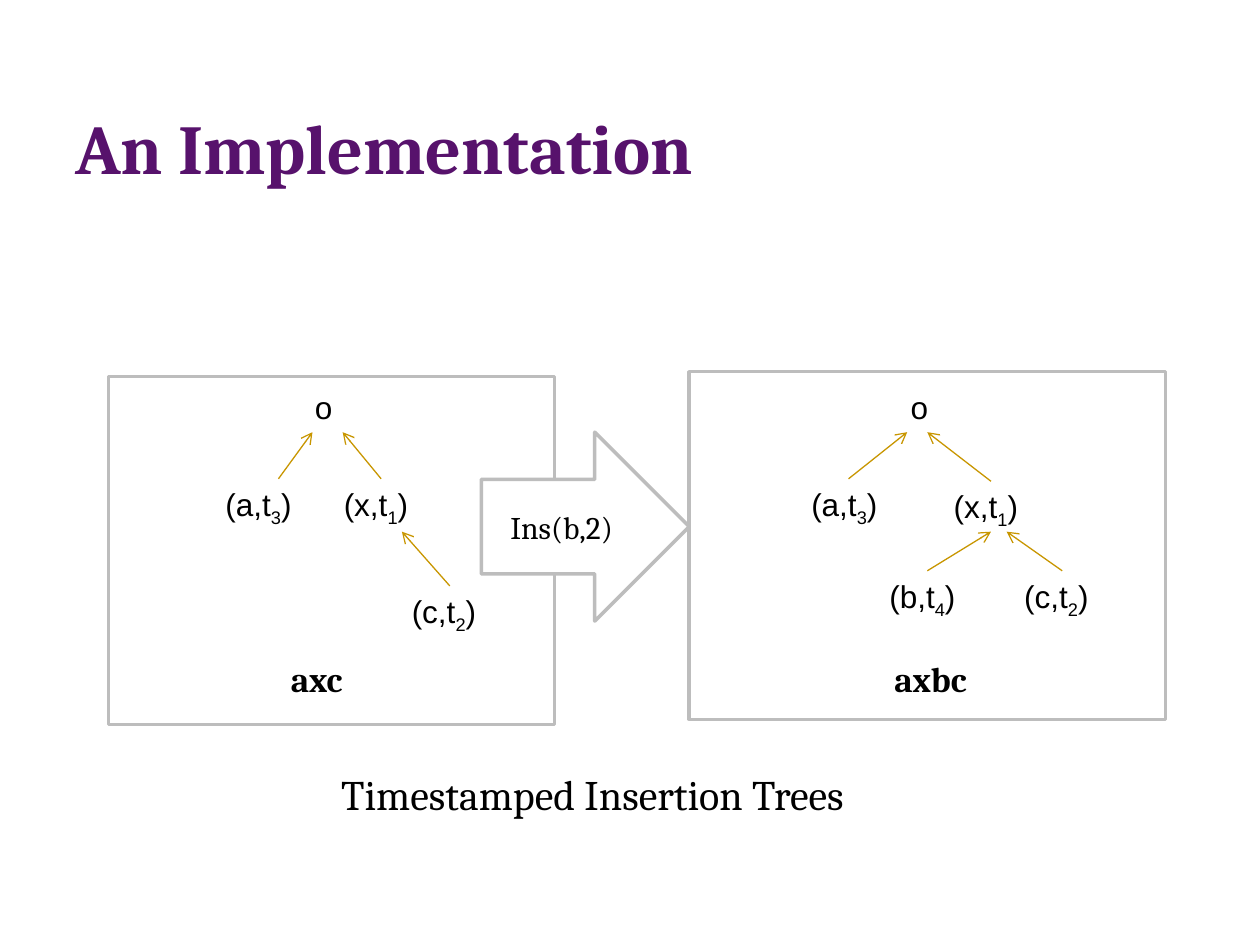
from dataclasses import dataclass

from lxml import etree
from pptx import Presentation
from pptx.dml.color import RGBColor
from pptx.enum.shapes import MSO_CONNECTOR, MSO_SHAPE
from pptx.enum.text import MSO_ANCHOR, MSO_AUTO_SIZE, PP_ALIGN
from pptx.oxml.ns import qn
from pptx.util import Inches, Pt

STRAIGHT = MSO_CONNECTOR.STRAIGHT
RECTANGLE, RIGHT_ARROW = MSO_SHAPE.RECTANGLE, MSO_SHAPE.RIGHT_ARROW
BOTTOM, MIDDLE, TOP = MSO_ANCHOR.BOTTOM, MSO_ANCHOR.MIDDLE, MSO_ANCHOR.TOP
LEFT, CENTER = PP_ALIGN.LEFT, PP_ALIGN.CENTER
GROW, FIXED = MSO_AUTO_SIZE.SHAPE_TO_FIT_TEXT, MSO_AUTO_SIZE.NONE

COLUMNS, ROWS, CELL = 100, 75, Inches(0.1)
SERIF, SANS = "Cambria", "Arial"
BLACK, WHITE, PURPLE, GRAY, GOLD = "000000", "FFFFFF", "57126C", "BDBDBD", "C89600"
TOP_SITE, BOTTOM_SITE = 0, 2
ROOT_ROW, EDGE_TIP_ROW, WORD_ROW = 30.3, 34.3, 51.7


@dataclass(frozen=True)
class Area:
    """Left, top, width and height in grid cells."""
    column: float
    row: float
    columns: float
    rows: float = 4

    def lengths(self) -> list[int]:
        return [cells(n) for n in (self.column, self.row, self.columns, self.rows)]


@dataclass(frozen=True)
class Node:
    letter: str
    stamp: str
    area: Area
    tip: tuple[float, float] | None = None    # None: bottom middle of the parent
    parent: str = ""
    start: tuple[float, float] | None = None  # None: top middle of the node


@dataclass(frozen=True)
class Tree:
    frame: Area
    root: Area
    nodes: tuple[Node, ...]
    word: str
    word_area: Area


TREES = (
    Tree(
        Area(8.6, 29.9, 35.4, 27.6), Area(24, ROOT_ROW, 4.6),
        (
            Node("a", "3", Area(16.9, 38, 7.9), (24.8, EDGE_TIP_ROW), start=(22.1, 38)),
            Node("x", "1", Area(26.3, 38, 7.9), (27.2, EDGE_TIP_ROW)),
            Node("c", "2", Area(31.7, 46.5, 8), (31.9, 42.2)),
        ),
        "axc", Area(22.1, WORD_ROW, 10, 4.4),
    ),
    Tree(
        Area(54.7, 29.5, 37.8, 27.6), Area(71.3, ROOT_ROW, 4.6),
        (
            Node("a", "3", Area(63.4, 38, 7.9), (72, EDGE_TIP_ROW)),
            Node("x", "1", Area(74.7, 38.2, 7.9), (73.6, EDGE_TIP_ROW)),
            Node("b", "4", Area(69.6, 45.3, 8), parent="x"),
            Node("c", "2", Area(80.3, 45.3, 8), (79.9, 42.2)),
        ),
        "axbc", Area(70, WORD_ROW, 10, 4.4),
    ),
)


def cells(count: float) -> int:
    return round(count * CELL)


def color(value: str) -> RGBColor:
    return RGBColor.from_string(value)


def add_span(para, text: str, size: float, face: str, ink: str = BLACK,
             bold: bool = False, baseline: int = 0) -> None:
    span = para.add_run()
    span.text = text
    font = span.font
    font.size, font.name, font.bold = Pt(size), face, bold
    font.color.rgb = color(ink)
    if baseline:
        span._r.get_or_add_rPr().set("baseline", str(baseline * 1000))


def add_label(slide, area: Area, text: str, size: float, face: str,
              bold: bool = False, stamp: str = ""):
    """Add a text box; a stamp makes it read (letter,t with a subscript)."""
    box = slide.shapes.add_textbox(*area.lengths())
    frame = box.text_frame
    frame.word_wrap, frame.auto_size, frame.vertical_anchor = True, GROW, TOP
    para = frame.paragraphs[0]
    if stamp:
        add_span(para, f"({text},t", size, face)
        add_span(para, stamp, size, face, baseline=-25)
        add_span(para, ")", size, face)
    else:
        add_span(para, text, size, face, bold=bold)
    return box


def add_outlined(slide, preset, area: Area):
    shape = slide.shapes.add_shape(preset, *area.lengths())
    shape.shadow.inherit = False
    shape.fill.solid()
    shape.fill.fore_color.rgb = color(WHITE)
    shape.line.color.rgb = color(GRAY)
    shape.line.width = Pt(2)
    return shape


def add_edge(slide, node: Node, boxes: dict) -> None:
    """Draw the arrow from a node to its parent."""
    start = node.start or (node.area.column, node.area.row)
    tip = node.tip or start
    edge = slide.shapes.add_connector(STRAIGHT, *map(cells, (*start, *tip)))
    if not node.start:
        edge.begin_connect(boxes[node.letter], TOP_SITE)
    if not node.tip:
        edge.end_connect(boxes[node.parent], BOTTOM_SITE)
    edge.line.color.rgb = color(GOLD)
    edge.line.width = Pt(0.75)
    etree.SubElement(edge.line._get_or_add_ln(), qn("a:tailEnd"), type="arrow")
    etree.SubElement(edge._element.spPr, qn("a:effectLst"))


def add_tree(slide, tree: Tree) -> None:
    add_outlined(slide, RECTANGLE, tree.frame)
    add_label(slide, tree.root, "o", 18, SANS)
    boxes = {node.letter: add_label(slide, node.area, node.letter, 18, SANS, stamp=node.stamp)
             for node in tree.nodes}
    for node in tree.nodes:
        add_edge(slide, node, boxes)
    add_label(slide, tree.word_area, tree.word, 20, SERIF, bold=True)


def add_title(slide, area: Area, text: str) -> None:
    title = slide.shapes.title
    title.left, title.top, title.width, title.height = area.lengths()
    frame = title.text_frame
    frame.auto_size, frame.vertical_anchor = FIXED, BOTTOM
    para = frame.paragraphs[0]
    para.alignment = LEFT
    add_span(para, text, 40, SERIF, PURPLE, bold=True)


def add_operation(slide, area: Area, text: str) -> None:
    arrow = add_outlined(slide, RIGHT_ARROW, area)
    arrow.text_frame.vertical_anchor = MIDDLE
    para = arrow.text_frame.paragraphs[0]
    para.alignment = CENTER
    add_span(para, text, 18, SERIF)


def main() -> None:
    deck = Presentation()
    deck.slide_width, deck.slide_height = cells(COLUMNS), cells(ROWS)
    slide = deck.slides.add_slide(deck.slide_layouts[5])
    add_title(slide, Area(5, 1.3, 82.5, 14.2), "An Implementation")
    before, after = TREES
    add_tree(slide, before)
    add_operation(slide, Area(38.2, 34.3, 16.5, 15), "Ins(b,2)")
    add_tree(slide, after)
    add_label(slide, Area(26.1, 60.5, 51.5, 5), "Timestamped Insertion Trees", 24, SERIF)
    deck.save("out.pptx")


if __name__ == "__main__":
    main()
